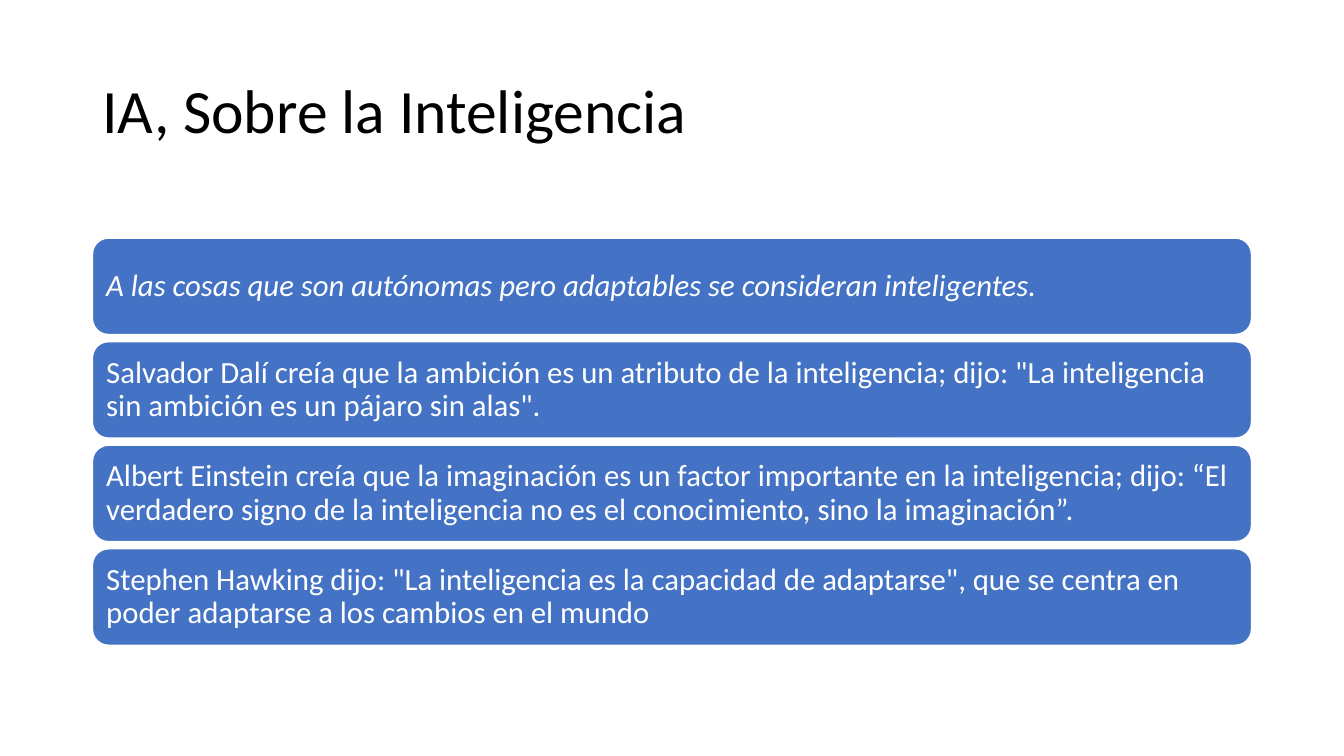
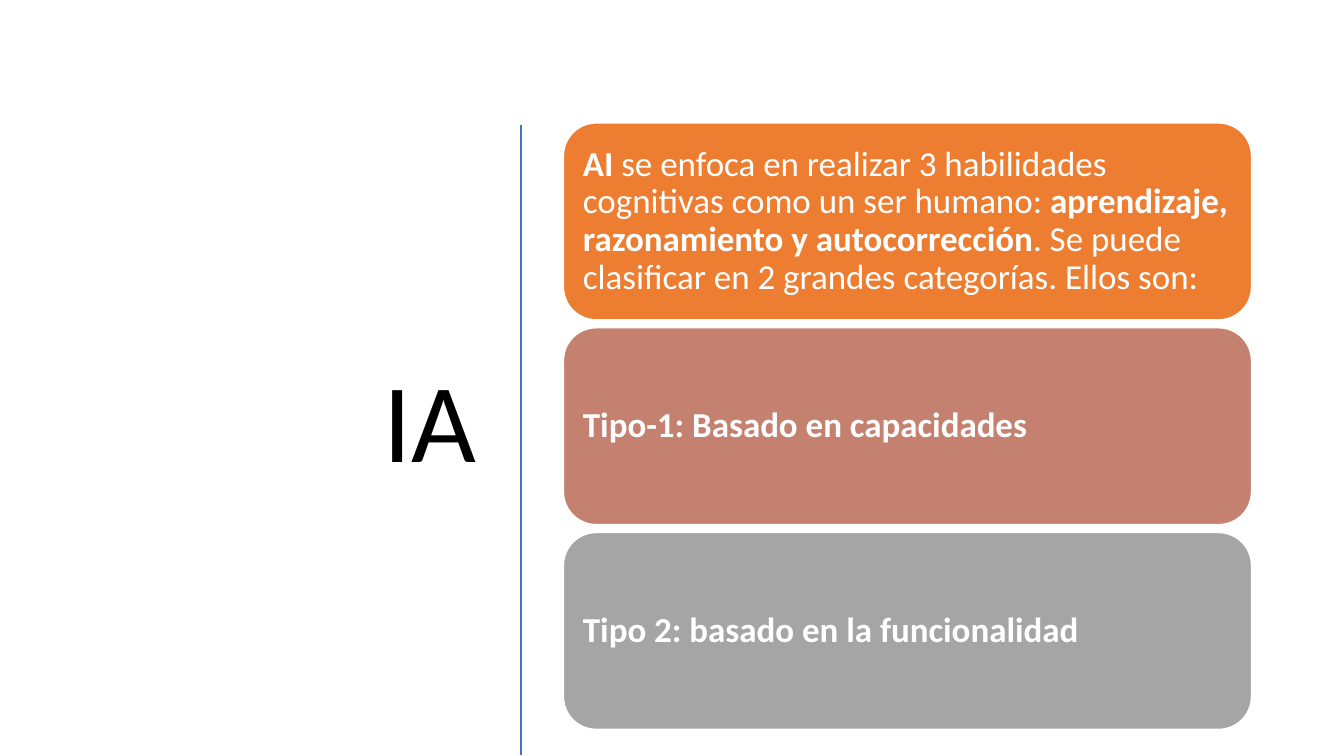
import dataclasses

import pptx
import pptx.dml.color
import pptx.enum.shapes
import pptx.enum.text
import pptx.oxml.ns
import pptx.util
from lxml import etree

Cm = pptx.util.Cm
Pt = pptx.util.Pt
Align = pptx.enum.text.PP_ALIGN


@dataclasses.dataclass(frozen=True)
class Theme:
    font: str = "Calibri"
    black: str = "000000"
    white: str = "FFFFFF"
    blue: str = "4472C4"
    orange: str = "ED7D31"
    clay: str = "C48170"
    grey: str = "A5A5A5"
    title_size: int = 44
    big_title_size: int = 80
    quote_size: int = 22
    category_size: int = 25
    line_spacing: float = 0.9
    right_edge: float = 31.54


THEME = Theme()

QUOTES = [
    [("A las cosas que son autónomas pero adaptables se consideran inteligentes.", {"italic": True})],
    [('Salvador Dalí creía que la ambición es un atributo de la inteligencia; dijo: '
      '"La inteligencia sin ambición es un pájaro sin alas".', {})],
    [("Albert Einstein creía que la imaginación es un factor importante en la inteligencia; dijo: "
      "“El verdadero signo de la inteligencia no es el conocimiento, sino la imaginación”.", {})],
    [('Stephen Hawking dijo: "La inteligencia es la capacidad de adaptarse", '
      'que se centra en poder adaptarse a los cambios en el mundo', {})],
]

CATEGORIES = [
    [("AI", {"bold": True}),
     (" se enfoca en realizar 3 habilidades cognitivas como un ser humano: ", {}),
     ("aprendizaje, razonamiento y autocorrección", {"bold": True}),
     (". Se puede clasificar en 2 grandes categorías. Ellos son:", {})],
    [("Tipo-1: Basado en capacidades", {"bold": True})],
    [("Tipo 2: basado en la funcionalidad", {"bold": True})],
]


def rgb(color):
    return pptx.dml.color.RGBColor.from_string(color)


def write_text(shape, runs, *, size, color, align=Align.LEFT, inset=None):
    frame = shape.text_frame
    frame.word_wrap = True
    frame.auto_size = pptx.enum.text.MSO_AUTO_SIZE.NONE
    frame.vertical_anchor = pptx.enum.text.MSO_ANCHOR.MIDDLE
    if inset is not None:
        frame.margin_left = frame.margin_right = Cm(inset)
        frame.margin_top = frame.margin_bottom = Cm(inset)
    paragraph = frame.paragraphs[0]
    paragraph.alignment = align
    paragraph.line_spacing = THEME.line_spacing
    for text, style in runs:
        run = paragraph.add_run()
        run.text = text
        run.font.name = THEME.font
        run.font.size = Pt(size)
        run.font.color.rgb = rgb(color)
        run.font.bold = style.get("bold", False)
        run.font.italic = style.get("italic", False)


def add_titled_slide(presentation, title, box, *, size, align=Align.LEFT):
    slide = presentation.slides.add_slide(presentation.slide_layouts[5])
    shape = slide.shapes.title
    shape.left, shape.top, shape.width, shape.height = map(Cm, box)
    write_text(shape, [(title, {})], size=size, color=THEME.black, align=align)
    return slide


def add_card_stack(slide, cards, colors, *, left, top, height, gap, size, inset):
    for index, (runs, color) in enumerate(zip(cards, colors)):
        card = slide.shapes.add_shape(
            pptx.enum.shapes.MSO_SHAPE.ROUNDED_RECTANGLE,
            Cm(left), Cm(top + index * (height + gap)),
            Cm(THEME.right_edge - left), Cm(height))
        card.shadow.inherit = False
        card.fill.solid()
        card.fill.fore_color.rgb = rgb(color)
        card.line.color.rgb = rgb(THEME.white)
        card.line.width = Pt(1)
        write_text(card, runs, size=size, color=THEME.white, inset=inset)


def add_divider(slide, left, top, bottom):
    divider = slide.shapes.add_connector(
        pptx.enum.shapes.MSO_CONNECTOR.STRAIGHT, Cm(left), Cm(top), Cm(left), Cm(bottom))
    divider.line.color.rgb = rgb(THEME.blue)
    divider.line.width = Pt(2)
    etree.SubElement(divider.element.spPr, pptx.oxml.ns.qn("a:effectLst"))


def add_quotes_slide(presentation):
    slide = add_titled_slide(presentation, "IA, Sobre la Inteligencia",
                             (2.33, 1.02, 29.21, 3.68), size=THEME.title_size)
    add_card_stack(slide, QUOTES, [THEME.blue] * len(QUOTES), left=2.33, top=6,
                   height=2.43, gap=0.18, size=THEME.quote_size, inset=0.23)


def add_categories_slide(presentation):
    slide = add_titled_slide(presentation, "IA", (1.32, 2.97, 10.95, 15.52),
                             size=THEME.big_title_size, align=Align.RIGHT)
    add_divider(slide, 13.13, 3.15, 19.03)
    add_card_stack(slide, CATEGORIES, [THEME.orange, THEME.clay, THEME.grey], left=14.2,
                   top=3.1, height=4.96, gap=0.2, size=THEME.category_size, inset=0.25)


def main():
    presentation = pptx.Presentation()
    presentation.slide_width = Cm(33.87)
    presentation.slide_height = Cm(19.05)
    add_quotes_slide(presentation)
    add_categories_slide(presentation)
    presentation.save("out.pptx")


if __name__ == "__main__":
    main()
